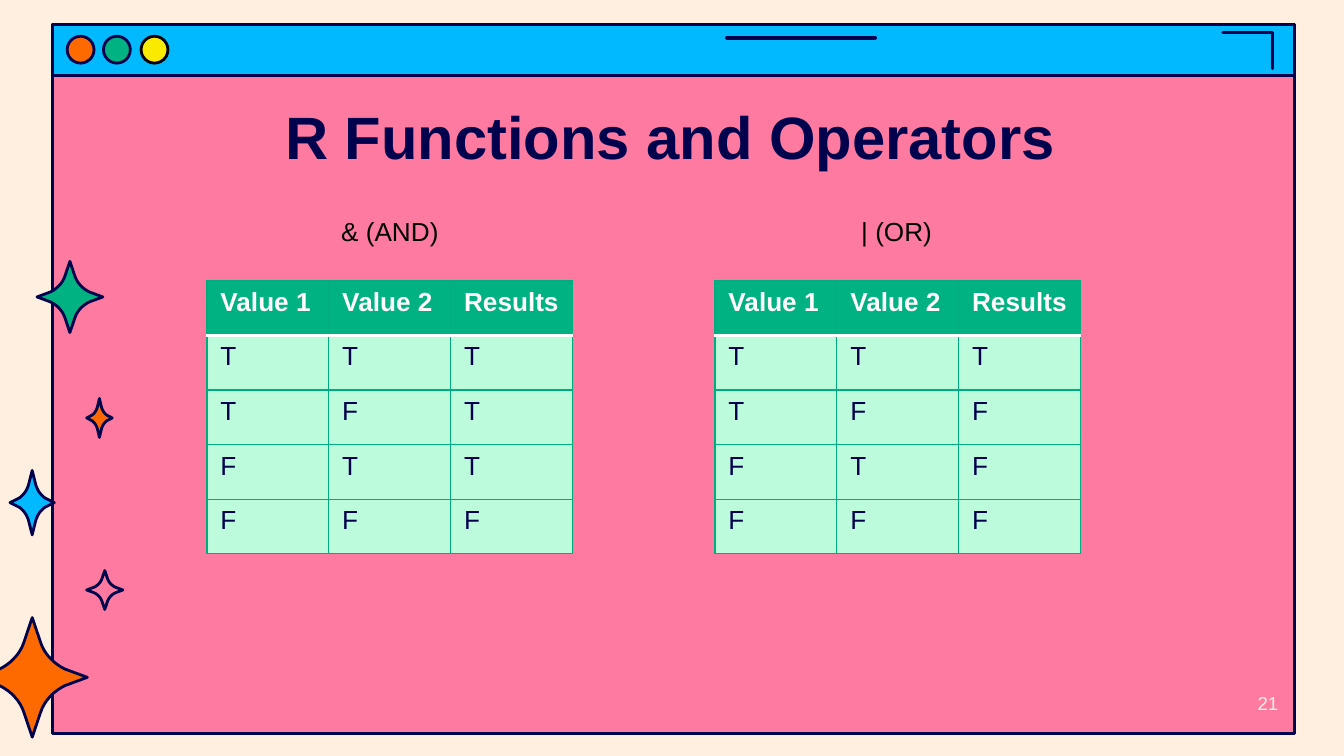
"""Build a slide with the truth tables of the AND and OR operators in R."""
from lxml import etree
from pptx import Presentation
from pptx.dml.color import RGBColor
from pptx.enum.shapes import MSO_CONNECTOR, MSO_SHAPE
from pptx.enum.text import MSO_ANCHOR, MSO_AUTO_SIZE, PP_ALIGN
from pptx.oxml.ns import qn
from pptx.util import Inches, Pt

RECTANGLE, OVAL = MSO_SHAPE.RECTANGLE, MSO_SHAPE.OVAL
STRAIGHT = MSO_CONNECTOR.STRAIGHT
TOP, MIDDLE = MSO_ANCHOR.TOP, MSO_ANCHOR.MIDDLE
LEFT, CENTER, RIGHT = PP_ALIGN.LEFT, PP_ALIGN.CENTER, PP_ALIGN.RIGHT
NO_AUTOFIT = MSO_AUTO_SIZE.NONE

FONT = "Arial"
COLORS = {
    "cream": "FFEFE1", "pink": "FF7AA1", "navy": "00004D", "blue": "00B9FF",
    "green": "00B181", "yellow": "FAEA00", "orange": "FF6A00", "black": "000000",
    "white": "FFFFFF", "mint": "BCFCDD", "border": "00AD7E",
}
TITLE = "R Functions and Operators"
PAGE_NUMBER = "21"
HEADER = ("Value 1", "Value 2", "Results")
TABLES = [
    {"label": "& (AND)", "label_left": 2.44, "label_width": 0.93, "left": 1.54,
     "rows": ["TTT", "TFT", "FTT", "FFF"]},
    {"label": "| (OR)", "label_left": 6.31, "label_width": 0.73, "left": 5.32,
     "rows": ["TTT", "TFF", "FTF", "FFF"]},
]
TABLE_TOP, TABLE_WIDTH, TABLE_HEIGHT = 2.09, 2.72, 2.03
WINDOW_PARTS = [(5.28, "pink"), (0.38, "blue")]
BUTTONS = [(0.5, "orange", "navy"), (0.77, "green", "navy"), (1.05, "yellow", "black")]
BUTTON_SIZE = 0.2
STARS = [
    (0.24, 3.74, 0.33, 0.48, "blue"),
    (0.78, 4.39, 0.27, 0.29, None),
    (0.24, 5.04, 0.82, 0.89, "orange"),
    (0.52, 2.21, 0.49, 0.53, "green"),
    (0.74, 3.11, 0.19, 0.29, "orange"),
]
STAR_CURVE = [(0.15, -0.59), (0.22, -0.39), (0.39, -0.23), (0.59, -0.14)]
CURVE_STEPS = 8


def color(name):
    return RGBColor.from_string(COLORS[name])


def style_line(line, name="navy", width=1.5, cap="flat"):
    line.color.rgb = color(name)
    line.width = Pt(width)
    properties = line._get_or_add_ln()
    properties.set("cap", cap)
    etree.SubElement(properties, qn("a:round"))


def style_shape(shape, fill, line="navy", **line_format):
    shape.shadow.inherit = False
    if fill:
        shape.fill.solid()
        shape.fill.fore_color.rgb = color(fill)
    else:
        shape.fill.background()
    style_line(shape.line, line, **line_format)


def write_text(frame, text, size=14, name="black", bold=False, align=LEFT, anchor=TOP):
    frame.vertical_anchor = anchor
    paragraph = frame.paragraphs[0]
    paragraph.alignment = align
    run = paragraph.add_run()
    run.text = text
    run.font.name = FONT
    run.font.size = Pt(size)
    run.font.bold = bold
    run.font.color.rgb = color(name)


def add_polyline(slide, points, close):
    corners = [(Inches(x), Inches(y)) for x, y in points]
    builder = slide.shapes.build_freeform(*corners[0])
    builder.add_line_segments(corners[1:], close=close)
    return builder.convert_to_shape()


def star_points(center_x, center_y, width, height):
    curve = []
    for step in range(CURVE_STEPS + 1):
        t = step / CURVE_STEPS
        weights = ((1 - t) ** 3, 3 * t * (1 - t) ** 2, 3 * t ** 2 * (1 - t), t ** 3)
        curve.append(tuple(sum(weight * point[axis] for weight, point in zip(weights, STAR_CURVE))
                           for axis in (0, 1)))
    upper_right = [(0, -1), *curve, (1, 0)]
    right = upper_right + [(x, -y) for x, y in upper_right[-2::-1]]
    outline = right + [(-x, y) for x, y in right[-2:0:-1]]
    return [(center_x + x * width / 2, center_y + y * height / 2) for x, y in outline]


def add_window(slide):
    for height, fill in WINDOW_PARTS:
        part = slide.shapes.add_shape(RECTANGLE, Inches(0.39), Inches(0.18), Inches(9.24), Inches(height))
        style_shape(part, fill)
    corner = add_polyline(slide, [(9.1, 0.24), (9.47, 0.24), (9.47, 0.51)], close=False)
    style_shape(corner, None, width=1.75, cap="rnd")
    dash = slide.shapes.add_connector(STRAIGHT, Inches(5.41), Inches(0.28), Inches(6.51), Inches(0.28))
    style_line(dash.line, width=2.25, cap="rnd")
    etree.SubElement(dash._element.spPr, qn("a:effectLst"))
    for left, fill, line in BUTTONS:
        button = slide.shapes.add_shape(OVAL, Inches(left), Inches(0.27), Inches(BUTTON_SIZE), Inches(BUTTON_SIZE))
        style_shape(button, fill, line)


def add_stars(slide):
    for *place, fill in STARS:
        style_shape(add_polyline(slide, star_points(*place), close=True), fill)


def add_border(cell, side, name, width):
    line = etree.SubElement(cell._tc.get_or_add_tcPr(), qn(f"a:ln{side}"), w=str(Pt(width)))
    fill = etree.SubElement(line, qn("a:solidFill"))
    etree.SubElement(fill, qn("a:srgbClr"), val=COLORS[name])


def add_truth_table(slide, left, rows):
    content = [HEADER, *rows]
    table = slide.shapes.add_table(len(content), len(HEADER), Inches(left), Inches(TABLE_TOP),
                                   Inches(TABLE_WIDTH), Inches(TABLE_HEIGHT)).table
    for row_index, row in enumerate(content):
        is_header = row_index == 0
        for column_index, text in enumerate(row):
            cell = table.cell(row_index, column_index)
            for side in "LRTB":
                below_header = (row_index, side) in ((0, "B"), (1, "T"))
                add_border(cell, side, *(("white", 2) if below_header else ("border", 0.75)))
            cell.fill.solid()
            cell.fill.fore_color.rgb = color("green" if is_header else "mint")
            write_text(cell.text_frame, text, name="white" if is_header else "navy", bold=is_header)


def add_text(slide, text, left, top, width, height, **text_format):
    frame = slide.shapes.add_textbox(Inches(left), Inches(top), Inches(width), Inches(height)).text_frame
    frame.word_wrap = False
    write_text(frame, text, **text_format)


def add_title(slide):
    title = slide.shapes.title
    title.left, title.top, title.width, title.height = map(Inches, (0.76, 0.64, 8.46, 0.63))
    frame = title.text_frame
    frame.auto_size = NO_AUTOFIT
    frame.margin_top = frame.margin_bottom = Inches(0.1)
    write_text(frame, TITLE, size=32, name="navy", bold=True, align=CENTER)
    slide.shapes._spTree.append(title._element)


def main():
    presentation = Presentation()
    presentation.slide_width = Inches(10)
    presentation.slide_height = presentation.slide_width * 9 // 16
    slide = presentation.slides.add_slide(presentation.slide_layouts[5])
    slide.background.fill.solid()
    slide.background.fill.fore_color.rgb = color("cream")
    add_window(slide)
    add_stars(slide)
    add_title(slide)
    for table in TABLES:
        add_truth_table(slide, table["left"], table["rows"])
        add_text(slide, table["label"], table["label_left"], 1.55, table["label_width"], 0.34)
    add_text(slide, PAGE_NUMBER, 9.01, 5.02, 0.6, 0.43, size=10, name="cream", align=RIGHT, anchor=MIDDLE)
    presentation.save("out.pptx")


if __name__ == "__main__":
    main()
